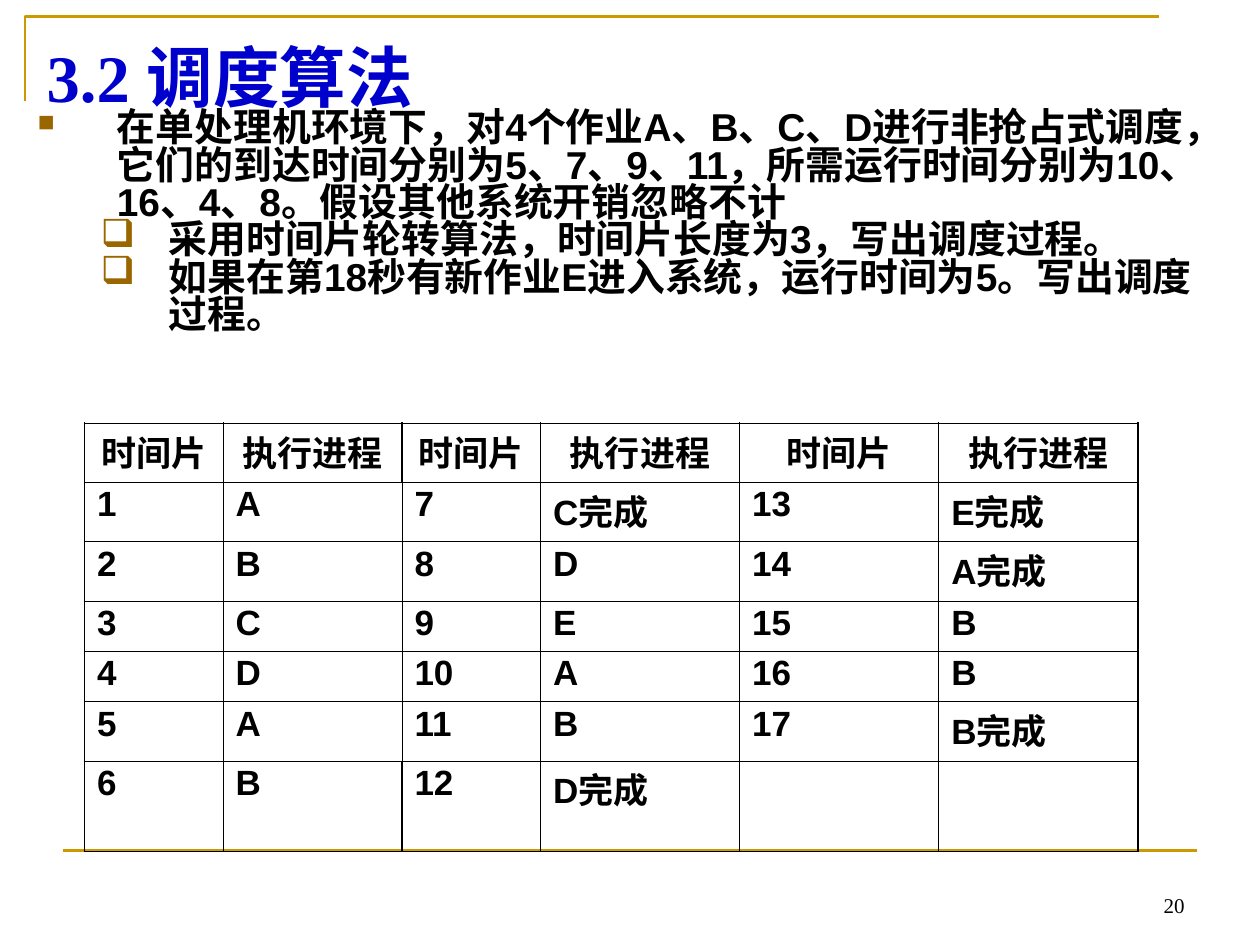
import pptx
import pptx.util
import pptx.dml.color
import pptx.enum.shapes
import pptx.enum.text
import pptx.oxml.ns
from lxml import etree

Inches = pptx.util.Inches
Pt = pptx.util.Pt
ALIGN = pptx.enum.text.PP_ALIGN
ANCHOR = pptx.enum.text.MSO_ANCHOR
qn = pptx.oxml.ns.qn

GOLD, BROWN, BLUE, BLACK = "CC9900", "996600", "0000CC", "000000"
HEADERS = ["时间片", "执行进程"]
PROCESSES = ["A", "B", "C", "D", "A", "B", "C完成", "D", "E", "A", "B", "D完成",
             "E完成", "A完成", "B", "B", "B完成"]
SLOTS_PER_COLUMN = 6
COL_WIDTHS = [1.1, 1.42, 1.1, 1.58, 1.58, 1.58]
ROW_HEIGHTS = [0.47, 0.47, 0.47, 0.38, 0.38, 0.47, 0.72]
POINTS = [
    (0, "在单处理机环境下，对4个作业A、B、C、D进行非抢占式调度，它们的到达时间分别为"
        "5、7、9、11，所需运行时间分别为10、16、4、8。假设其他系统开销忽略不计"),
    (1, "采用时间片轮转算法，时间片长度为3，写出调度过程。"),
    (1, "如果在第18秒有新作业E进入系统，运行时间为5。写出调度过程。"),
]
BULLETS = [("■", 0.63, -0.63, 60), ("❑", 1.04, -0.54, 100)]


def rgb(value):
    return pptx.dml.color.RGBColor.from_string(value)


def set_font(p, size, name, color, bold=False):
    p.font.size = Pt(size)
    p.font.name = name
    p.font.bold = bold
    p.font.color.rgb = rgb(color)


def add_bullet(p, char, left, indent, percent):
    pPr = p._p.get_or_add_pPr()
    pPr.set("marL", str(Inches(left)))
    pPr.set("indent", str(Inches(indent)))
    clr = etree.Element(qn("a:buClr"))
    etree.SubElement(clr, qn("a:srgbClr"), val=BROWN)
    size = etree.Element(qn("a:buSzPct"), val=str(percent * 1000))
    bullet = etree.Element(qn("a:buChar"), char=char)
    at = list(pPr).index(pPr.find(qn("a:defRPr")))
    pPr[at:at] = [clr, size, bullet]


def add_frame(s, x, y, w, h):
    fb = s.shapes.build_freeform(Inches(x), Inches(y + h))
    fb.add_line_segments([(Inches(x), Inches(y)), (Inches(x + w), Inches(y))], close=False)
    corner = fb.convert_to_shape()
    corner.shadow.inherit = False
    corner.fill.background()
    rule = s.shapes.add_connector(pptx.enum.shapes.MSO_CONNECTOR.STRAIGHT,
                                  Inches(x + 0.3), Inches(y + 6.62),
                                  Inches(x + w + 0.3), Inches(y + 6.62))
    etree.SubElement(rule._element.spPr, qn("a:effectLst"))
    for sp in (corner, rule):
        sp.line.color.rgb = rgb(GOLD)
        sp.line.width = Pt(1.5)


def add_title(s, x, y, w, h):
    sp = s.shapes.title
    sp.left, sp.top, sp.width, sp.height = map(Inches, (x, y, w, h))
    tf = sp.text_frame
    tf.text = "3.2 调度算法"
    tf.vertical_anchor = ANCHOR.MIDDLE
    p = tf.paragraphs[0]
    p.alignment = ALIGN.LEFT
    set_font(p, 38, "Times New Roman", BLUE, True)


def add_points(s, x, y, w, h):
    tf = s.shapes.add_textbox(*map(Inches, (x, y, w, h))).text_frame
    tf.word_wrap = True
    for i, (level, text) in enumerate(POINTS):
        p = tf.add_paragraph() if i else tf.paragraphs[0]
        p.text = text
        p.level = level
        p.line_spacing = 0.8
        set_font(p, 22.2, "Arial", BLACK, True)
        add_bullet(p, *BULLETS[level])


def add_page_number(s, x, y, w, h):
    tf = s.shapes.add_textbox(*map(Inches, (x, y, w, h))).text_frame
    tf.word_wrap = True
    tf.vertical_anchor = ANCHOR.BOTTOM
    p = tf.paragraphs[0]
    p.text = "20"
    p.alignment = ALIGN.RIGHT
    set_font(p, 12, "Times New Roman", BLACK)


def set_borders(cell, thick_sides):
    tcPr = cell._tc.get_or_add_tcPr()
    for i, side in enumerate("LRTB"):
        width = Pt(1.08 if side in thick_sides else 0.45)
        ln = etree.Element(qn("a:ln" + side), w=str(width))
        fill = etree.SubElement(ln, qn("a:solidFill"))
        etree.SubElement(fill, qn("a:srgbClr"), val=BLACK)
        tcPr.insert(i, ln)


def cell_text(row, col):
    if row == 0:
        return HEADERS[col % 2]
    slot = col // 2 * SLOTS_PER_COLUMN + row
    if slot > len(PROCESSES):
        return ""
    return PROCESSES[slot - 1] if col % 2 else str(slot)


def add_schedule(s, x, y):
    rows, cols = len(ROW_HEIGHTS), len(COL_WIDTHS)
    table = s.shapes.add_table(rows, cols, Inches(x), Inches(y), Inches(sum(COL_WIDTHS)),
                               Inches(sum(ROW_HEIGHTS))).table
    for column, width in zip(table.columns, COL_WIDTHS):
        column.width = Inches(width)
    for r, height in enumerate(ROW_HEIGHTS):
        table.rows[r].height = Inches(height)
        for c in range(cols):
            cell = table.cell(r, c)
            cell.fill.background()
            p = cell.text_frame.paragraphs[0]
            p.text = cell_text(r, c)
            p.alignment = ALIGN.LEFT if r else ALIGN.CENTER
            p.line_spacing = 0.9
            p.space_before = Pt(5)
            set_font(p, 20, "Arial", BLACK, True)
            edge_row = r in (0, rows - 1)
            thick = {"T": r == 0, "B": r == rows - 1,
                     "L": c == 0 or edge_row and c % 2 == 0,
                     "R": c == cols - 1 or edge_row and c % 2 == 1}
            set_borders(cell, [side for side in thick if thick[side]])


prs = pptx.Presentation()
prs.slide_width, prs.slide_height = Inches(10), Inches(7.5)
s = prs.slides.add_slide(prs.slide_layouts[5])
add_frame(s, 0.2, 0.13, 9, 0.67)
add_page_number(s, 7.17, 6.83, 2.33, 0.5)
add_title(s, 0.27, 0.21, 9, 0.79)
add_points(s, 0.2, 0.84, 9.53, 2.36)
add_schedule(s, 0.67, 3.36)
prs.save("out.pptx")
